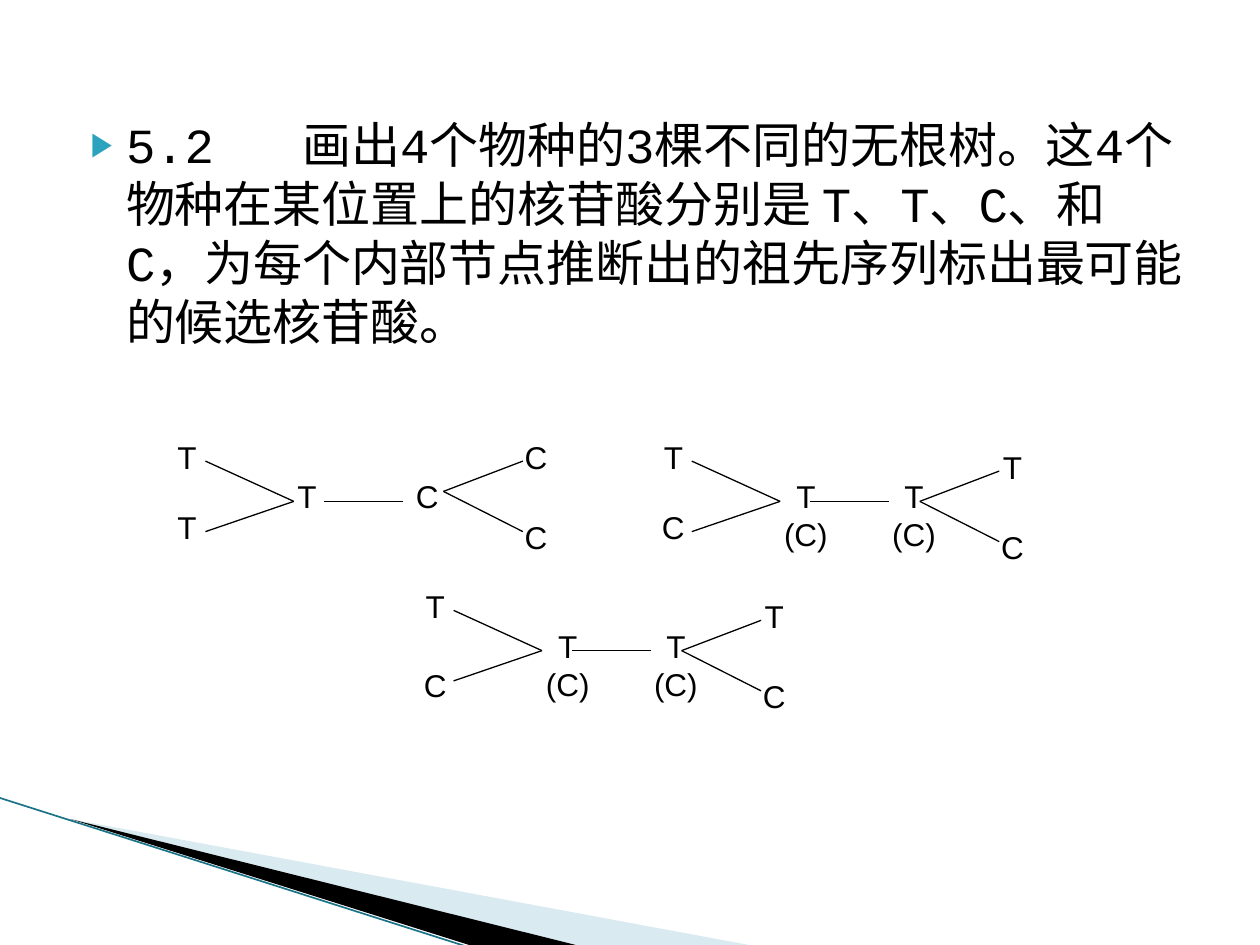
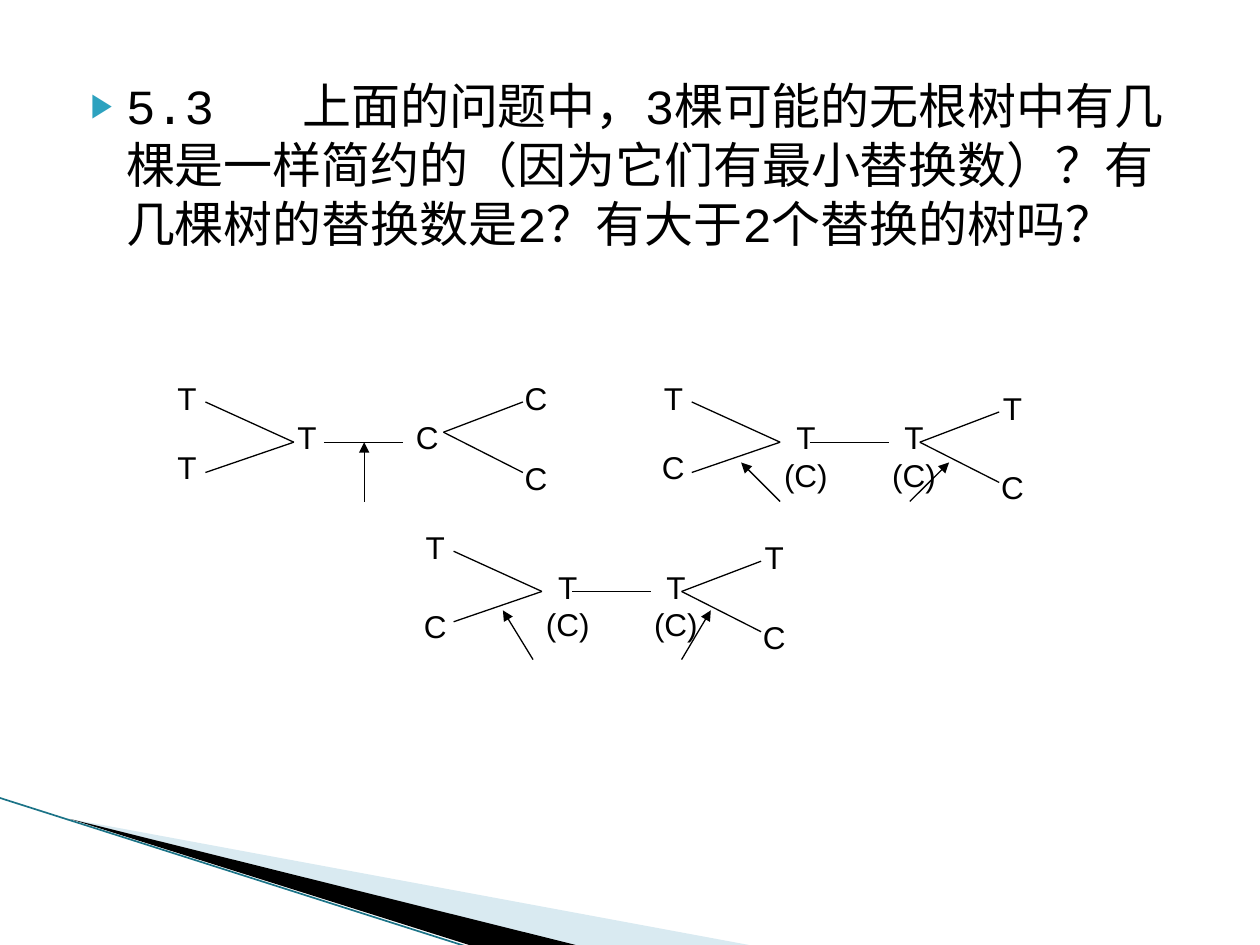
from lxml import etree
from pptx import Presentation
from pptx.dml.color import RGBColor
from pptx.enum.shapes import MSO_CONNECTOR
from pptx.enum.text import MSO_ANCHOR, MSO_AUTO_SIZE, PP_ALIGN
from pptx.oxml.ns import qn
from pptx.util import Pt

STRAIGHT = MSO_CONNECTOR.STRAIGHT
TOP = MSO_ANCHOR.TOP
FIXED = MSO_AUTO_SIZE.NONE
CENTER = PP_ALIGN.CENTER

HUES = {"ink": "000000", "pale": "D9EAF1", "teal": "1B7387", "mark": "2DA2BF"}
WEDGES = [
    ("pale", [(39.6, 468.5), (428.4, 540), (328, 540)]),
    ("ink", [(39.6, 468.5), (329, 540), (268, 540)]),
]

# Tree shape, relative to the tip of its upper left branch
FORK, BASE, TIP = 50.5, 23, 40.3
STEM = (67.7, 113)
REACH = 45.4
GAP_LEFT, GAP_RIGHT = 10.5, 7.5

# Each tree: place (x, y), leaves, node names, node centres,
# top of lower left leaf, start and drop of the right fork
EITHER = ["T", "(C)"]
TREES = [
    dict(at=(117.4, 0), leaves="TTCC", nodes=(["T"], ["C"]),
         mids=(58, 126.7), low=23, fork=136, drop=0),
    dict(at=(395.3, 0), leaves="TCTC", nodes=(EITHER, EITHER),
         mids=(65.2, 127), low=23, fork=130.3, drop=5.7),
    dict(at=(259.2, 85.3), leaves="TCTC", nodes=(EITHER, EITHER),
         mids=(65.2, 127), low=28.5, fork=130.3, drop=5.7),
]

# Arrows of each tree, relative to the tree
ARROWS = [
    [(90.7, 56.9, 90.7, 23)],
    [(50.5, 56.9, 28.2, 34.6), (124.6, 56.9, 147, 34.6)],
    [(45.4, 61.9, 28.2, 33.8), (130.3, 61.9, 147, 33.8)],
]

PAGES = [
    dict(no="5.2", top=61.9, high=157.7, trees=263.5, arrows=False,
         text="画出4个物种的3棵不同的无根树。这4个物种在某位置上的核苷酸分别是 T、T、C、和 C，"
              "为每个内部节点推断出的祖先序列标出最可能的候选核苷酸。"),
    dict(no="5.3", top=39.6, high=129.6, trees=229.7, arrows=True,
         text="上面的问题中，3棵可能的无根树中有几棵是一样简约的（因为它们有最小替换数）？"
              "有几棵树的替换数是2？有大于2个替换的树吗？"),
]


def hue(name):
    return RGBColor.from_string(HUES[name])


def line(slide, x1, y1, x2, y2, color="ink", width=0.75, arrow=False):
    link = slide.shapes.add_connector(STRAIGHT, Pt(x1), Pt(y1), Pt(x2), Pt(y2))
    link.line.color.rgb = hue(color)
    link.line.width = Pt(width)
    if arrow:
        etree.SubElement(link.line._get_or_add_ln(), qn("a:tailEnd"), type="triangle")
    etree.SubElement(link._element.spPr, qn("a:effectLst"))


def label(slide, mid, top, rows):
    wide, high = 40, 7.2 + 21.6 * len(rows)
    box = slide.shapes.add_textbox(Pt(mid - wide / 2), Pt(top), Pt(wide), Pt(high))
    frame = box.text_frame
    frame.word_wrap = False
    frame.text = "\n".join(rows)
    for para in frame.paragraphs:
        para.alignment = CENTER
        para.font.name = "Arial"
        para.font.size = Pt(18)
        para.font.color.rgb = hue("ink")


def band(slide):
    """Wedges in the lower left corner."""
    for color, points in WEDGES:
        pen = slide.shapes.build_freeform(*points[0], scale=Pt(1))
        pen.add_line_segments(points[1:])
        wedge = pen.convert_to_shape()
        wedge.shadow.inherit = False
        wedge.fill.solid()
        wedge.fill.fore_color.rgb = hue(color)
        wedge.line.fill.background()
    line(slide, 0, 456, 267, 541, "teal", 0.95)


def question(slide, page):
    """Bulleted question in the body placeholder."""
    title, body = slide.placeholders
    title._element.getparent().remove(title._element)
    body.left, body.top = Pt(36), Pt(page["top"])
    body.width, body.height = Pt(648), Pt(page["high"])
    frame = body.text_frame
    frame.vertical_anchor = TOP
    frame.auto_size = FIXED
    para = frame.paragraphs[0]

    # Bullet and hanging indent
    props = para._p.get_or_add_pPr()
    props.set("marL", str(Pt(28.8)))
    props.set("indent", str(Pt(-20.2)))
    para.space_before = Pt(0)
    paint = etree.SubElement(props, qn("a:buClr"))
    etree.SubElement(paint, qn("a:srgbClr"), val=HUES["mark"])
    etree.SubElement(props, qn("a:buSzPct"), val="68000")
    etree.SubElement(props, qn("a:buFont"), typeface="Arial")
    etree.SubElement(props, qn("a:buChar"), char="▶")

    # One widely tracked space sets the number apart
    for text in (page["no"], " ", page["text"]):
        run = para.add_run()
        run.text = text
        if text == " ":
            run.font._element.set("spc", "3360")
    para.font.name = "Courier New"
    para.font.size = Pt(28)
    para.font.color.rgb = hue("ink")
    for run in para.runs:
        run.font.name = "Courier New"
        run.font.size = Pt(28)


def tree(slide, x, y, spec):
    """Unrooted tree with two inner nodes and four leaves."""
    fork, drop = x + spec["fork"], y + spec["drop"]
    end = fork + REACH
    # Branches
    for tip in (0, TIP):
        line(slide, x, y + tip, x + FORK, y + BASE)
        line(slide, fork, y + 17.3 + spec["drop"], end, drop + tip)
    line(slide, x + STEM[0], y + BASE, x + STEM[1], y + BASE)
    # Leaves and nodes
    spots = [(x - GAP_LEFT, y - 16.6), (x - GAP_LEFT, y + spec["low"]),
             (end + GAP_RIGHT, drop - 16.6), (end + GAP_RIGHT, drop + 28.8)]
    for leaf, (mid, top) in zip(spec["leaves"], spots):
        label(slide, mid, top, [leaf])
    for rows, mid in zip(spec["nodes"], spec["mids"]):
        label(slide, x + mid, y + 5.8, rows)


def build(deck, page):
    slide = deck.slides.add_slide(deck.slide_layouts[1])
    band(slide)
    question(slide, page)
    for spec, marks in zip(TREES, ARROWS):
        x, y = spec["at"][0], page["trees"] + spec["at"][1]
        tree(slide, x, y, spec)
        if page["arrows"]:
            for x1, y1, x2, y2 in marks:
                line(slide, x + x1, y + y1, x + x2, y + y2, arrow=True)


def main():
    deck = Presentation()
    deck.slide_width, deck.slide_height = Pt(720), Pt(540)
    for page in PAGES:
        build(deck, page)
    deck.save("out.pptx")


if __name__ == "__main__":
    main()
